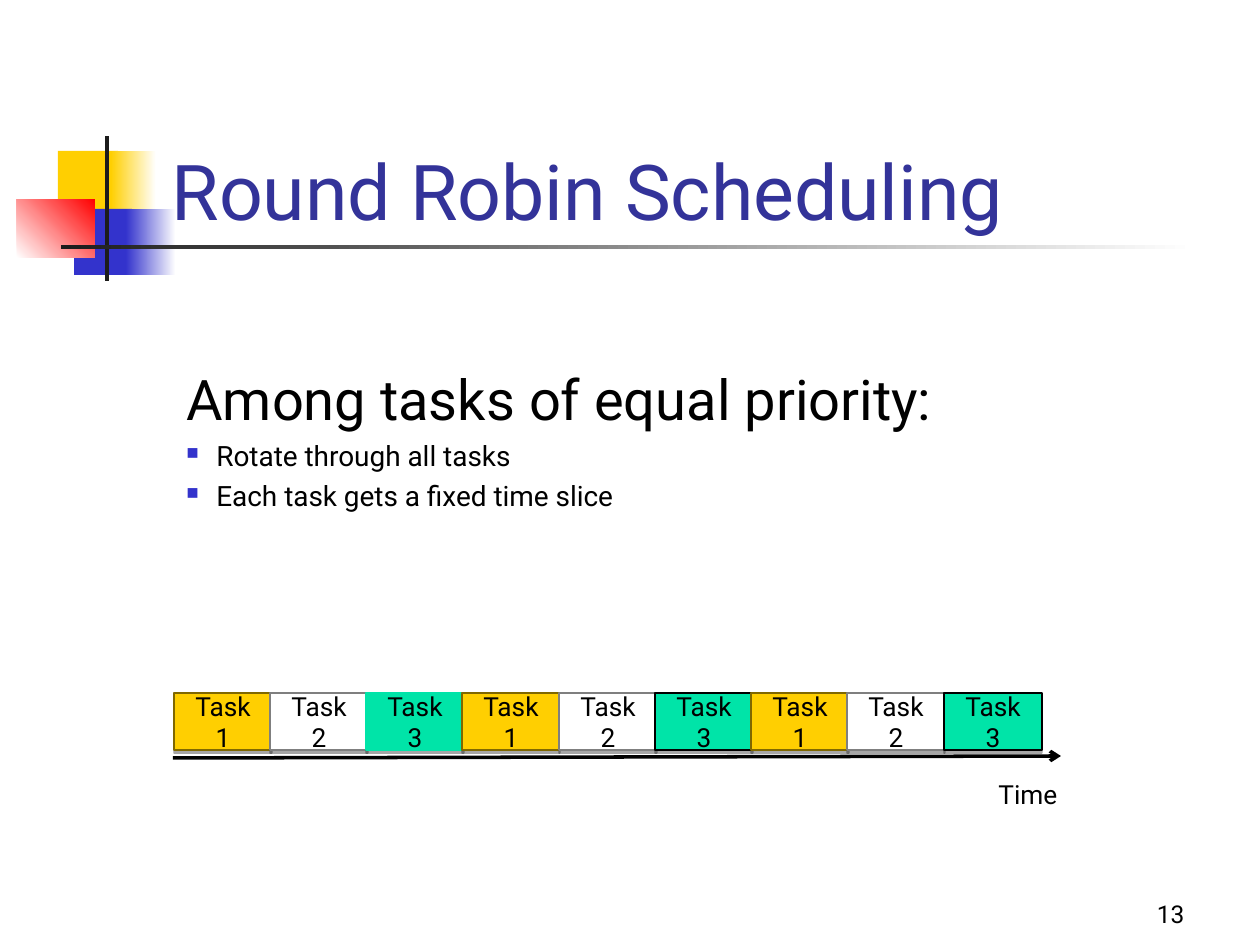
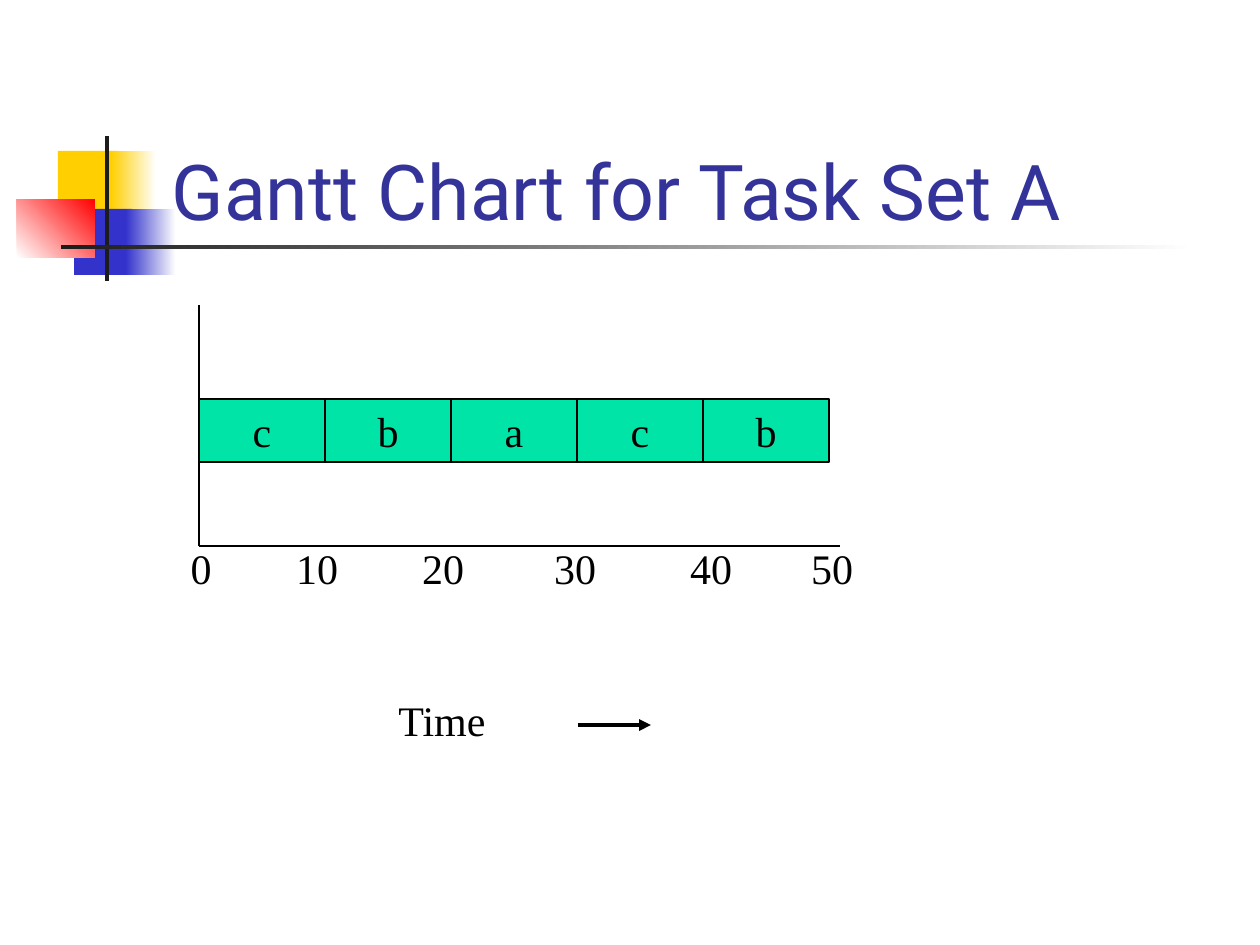
from lxml import etree
from pptx import Presentation
from pptx.dml.color import RGBColor
from pptx.enum.shapes import MSO_CONNECTOR, MSO_SHAPE
from pptx.enum.text import MSO_ANCHOR, MSO_AUTO_SIZE, PP_ALIGN
from pptx.oxml.ns import qn
from pptx.util import Pt

RECTANGLE = MSO_SHAPE.RECTANGLE
STRAIGHT = MSO_CONNECTOR.STRAIGHT
TOP, MIDDLE, BOTTOM = MSO_ANCHOR.TOP, MSO_ANCHOR.MIDDLE, MSO_ANCHOR.BOTTOM
LEFT, CENTER, RIGHT = PP_ALIGN.LEFT, PP_ALIGN.CENTER, PP_ALIGN.RIGHT
NO_AUTOFIT = MSO_AUTO_SIZE.NONE

PX_PER_INCH = 126
EMU_PER_INCH = 914400
TITLE_ONLY = 5

BLACK = RGBColor(0x00, 0x00, 0x00)
WHITE = RGBColor(0xFF, 0xFF, 0xFF)
YELLOW = RGBColor(0xFF, 0xCF, 0x01)
BLUE = RGBColor(0x33, 0x33, 0xCC)
RED = RGBColor(0xFF, 0x00, 0x00)
CHARCOAL = RGBColor(0x1C, 0x1C, 0x1C)
TITLE_BLUE = RGBColor(0x33, 0x33, 0x99)
GREEN = RGBColor(0x00, 0xE4, 0xA8)
OLIVE = RGBColor(0x80, 0x68, 0x00)
GREY = RGBColor(0x7F, 0x7F, 0x7F)

SANS = "Roboto"
SERIF = "Times New Roman"


def px(length):
    return round(length * EMU_PER_INCH / PX_PER_INCH)


def add_run(paragraph, text, size, font, color=BLACK):
    run = paragraph.add_run()
    run.text = text
    run.font.size = Pt(size)
    run.font.name = font
    run.font.color.rgb = color


def add_block(slide, box, color, fade_to=None, angle=0):
    """Rectangle without outline, solid or fading to a second colour."""
    shape = slide.shapes.add_shape(RECTANGLE, *map(px, box))
    shape.shadow.inherit = False
    shape.line.fill.background()
    if fade_to is None:
        shape.fill.solid()
        shape.fill.fore_color.rgb = color
    else:
        shape.fill.gradient()
        shape.fill.gradient_angle = angle
        stops = shape.fill.gradient_stops
        for stop, position, stop_color in zip(stops, (0, 1), (color, fade_to)):
            stop.position = position
            stop.color.rgb = stop_color


def add_slide(presentation, title_text):
    """Slide with the shared corner blocks, rule and title."""
    slide = presentation.slides.add_slide(presentation.slide_layouts[TITLE_ONLY])
    add_block(slide, (58, 151, 60, 66), YELLOW)
    add_block(slide, (111, 151, 45, 66), YELLOW, WHITE)
    add_block(slide, (74, 209, 58, 66), BLUE)
    add_block(slide, (126, 209, 50, 66), BLUE, WHITE)
    add_block(slide, (17, 199, 78, 59), WHITE, RED, angle=45)
    add_block(slide, (105, 136, 4, 145), CHARCOAL)
    add_block(slide, (61, 245, 1134, 4), CHARCOAL, WHITE)

    title = slide.shapes.title
    title.left, title.top, title.width, title.height = map(px, (159, 84, 1074, 158))
    frame = title.text_frame
    frame.auto_size = NO_AUTOFIT
    frame.vertical_anchor = BOTTOM
    paragraph = frame.paragraphs[0]
    paragraph.alignment = LEFT
    add_run(paragraph, title_text, 44, SANS, TITLE_BLUE)
    # The title lies in front of the blocks
    title.element.getparent().append(title.element)
    return slide


def add_label(slide, text, box, size, font, alignment=CENTER, anchor=TOP):
    frame = slide.shapes.add_textbox(*map(px, box)).text_frame
    frame.word_wrap = True
    frame.vertical_anchor = anchor
    paragraph = frame.paragraphs[0]
    paragraph.alignment = alignment
    add_run(paragraph, text, size, font)


def add_task(slide, text, box, fill, border, border_width, size, font):
    shape = slide.shapes.add_shape(RECTANGLE, *map(px, box))
    shape.shadow.inherit = False
    shape.fill.solid()
    shape.fill.fore_color.rgb = fill
    shape.line.color.rgb = border
    shape.line.width = Pt(border_width)
    frame = shape.text_frame
    frame.word_wrap = True
    frame.vertical_anchor = MIDDLE
    paragraph = frame.paragraphs[0]
    paragraph.alignment = CENTER
    add_run(paragraph, text, size, font)
    return shape


def add_drop_shadow(shape):
    effects = shape.element.spPr.find(qn("a:effectLst"))
    shadow = etree.SubElement(effects, qn("a:outerShdw"), dist=str(Pt(1.8)),
                              dir="5400000", rotWithShape="0")
    color = etree.SubElement(shadow, qn("a:srgbClr"), val=str(BLACK))
    etree.SubElement(color, qn("a:alpha"), val="35000")


def add_line(slide, start, end, width, arrowhead=None):
    connector = slide.shapes.add_connector(STRAIGHT, *map(px, start + end))
    connector.line.color.rgb = BLACK
    connector.line.width = Pt(width)
    properties = connector.element.spPr
    if arrowhead:
        etree.SubElement(properties.find(qn("a:ln")), qn("a:tailEnd"), type=arrowhead)
    etree.SubElement(properties, qn("a:effectLst"))


def set_bullet(paragraph, indent):
    properties = paragraph._p.get_or_add_pPr()
    properties.set("marL", str(px(indent)))
    properties.set("indent", str(-px(indent)))
    bullet_color = etree.SubElement(properties, qn("a:buClr"))
    etree.SubElement(bullet_color, qn("a:srgbClr"), val=str(BLUE))
    etree.SubElement(properties, qn("a:buSzPct"), val="60000")
    etree.SubElement(properties, qn("a:buChar"), char="■")


def add_bullet_list(slide, box, heading, items):
    frame = slide.shapes.add_textbox(*map(px, box)).text_frame
    frame.word_wrap = True
    add_run(frame.paragraphs[0], heading, 32, SANS)
    for item in items:
        paragraph = frame.add_paragraph()
        paragraph.space_before = Pt(4)
        set_bullet(paragraph, indent=30)
        add_run(paragraph, item, 16, SANS)


def build_round_robin(presentation):
    slide = add_slide(presentation, "Round Robin Scheduling")
    add_bullet_list(slide, (174, 358, 1071, 481), "Among tasks of equal priority:",
                    ["Rotate through all tasks", "Each task gets a fixed time slice"])
    add_label(slide, "13", (935, 872, 262, 63), 14, SANS, RIGHT, BOTTOM)

    # Three tasks take turns along the time arrow
    add_line(slide, (173, 758), (1061, 756), 2, "arrow")
    styles = [("Task 1", YELLOW, OLIVE), ("Task 2", WHITE, GREY), ("Task 3", GREEN, BLACK)]
    first_left, last_left, slices = 174, 944, 9
    for index in range(slices):
        name, fill, border = styles[index % len(styles)]
        if index == 2:
            border = GREEN
        left = first_left + (last_left - first_left) * index // (slices - 1)
        task = add_task(slide, name, (left, 693, 98, 57), fill, border, 0.75, 15, SANS)
        add_drop_shadow(task)
    add_label(slide, "Time", (978, 772, 100, 44), 15, SANS)


def build_gantt(presentation):
    slide = add_slide(presentation, "Gantt Chart for Task Set A")
    origin_x, origin_y, slice_width = 199, 546, 126
    for index, name in enumerate("cbacb"):
        box = (origin_x + index * slice_width, 399, slice_width, 63)
        add_task(slide, name, box, GREEN, BLACK, 1, 24, SERIF)

    # Axes and time marks
    add_line(slide, (origin_x, 305), (origin_x, origin_y), 1)
    add_line(slide, (origin_x, origin_y), (840, origin_y), 1)
    mark_centers = [201, 317, 443, 575, 711, 832]
    for index, center in enumerate(mark_centers):
        add_label(slide, str(index * 10), (center - 40, 536, 80, 63), 24, SERIF)

    # Direction of time
    add_label(slide, "Time", (372, 688, 140, 63), 24, SERIF)
    add_line(slide, (578, 725), (651, 725), 2.25, "triangle")


def main():
    presentation = Presentation()
    presentation.slide_width = px(1260)
    presentation.slide_height = px(945)
    build_round_robin(presentation)
    build_gantt(presentation)
    presentation.save("out.pptx")


if __name__ == "__main__":
    main()
